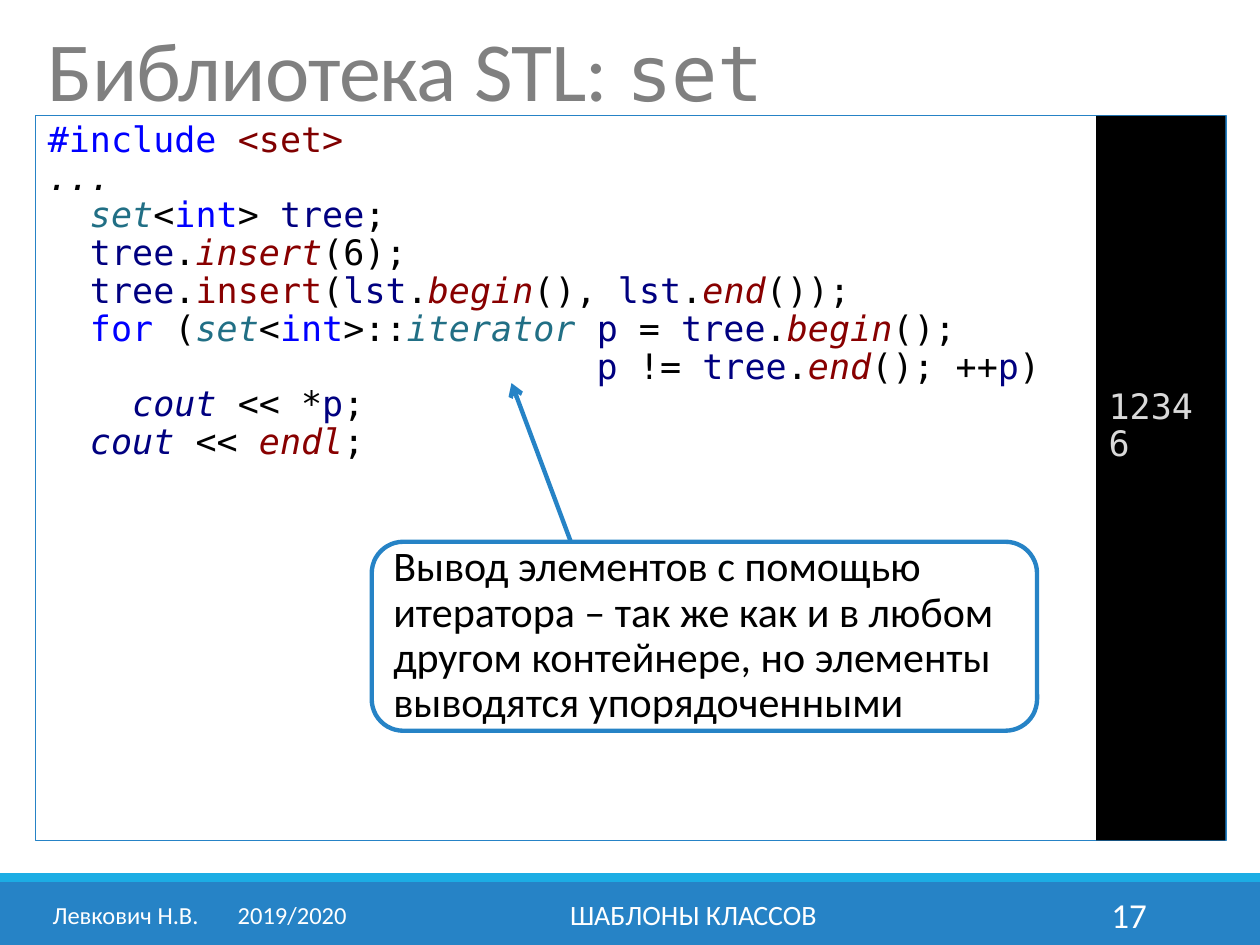
from lxml import etree
from pptx import Presentation
from pptx.dml.color import RGBColor
from pptx.enum.shapes import MSO_CONNECTOR, MSO_SHAPE
from pptx.enum.text import MSO_ANCHOR, PP_ALIGN
from pptx.oxml.ns import qn
from pptx.util import Pt

RECT, ROUND = MSO_SHAPE.RECTANGLE, MSO_SHAPE.ROUNDED_RECTANGLE
LINE = MSO_CONNECTOR.STRAIGHT
TOP, MID = MSO_ANCHOR.TOP, MSO_ANCHOR.MIDDLE
LEFT, MIDST, RIGHT = PP_ALIGN.LEFT, PP_ALIGN.CENTER, PP_ALIGN.RIGHT
SANS, MONO = "Calibri", "DejaVu Sans Mono"
BLUE, SKY, WHITE, BLACK, GREY = "2683C6", "1CADE4", "FFFFFF", "000000", "808080"

INKS = {
    "key": ("0000FF", False), "op": (BLACK, False), "head": ("800000", False),
    "dots": (BLACK, True), "type": ("216F85", True), "var": ("000080", False),
    "out": ("000080", True), "call": ("880000", True), "name": ("880000", False),
}
CODE = [
    [("key", "#include"), ("op", " "), ("head", "<set>")],
    [("dots", "...")],
    [("type", "  set"), ("op", "<"), ("key", "int"), ("op", "> "), ("var", "tree"), ("op", ";")],
    [("var", "  tree"), ("op", "."), ("call", "insert"), ("op", "(6);")],
    [("var", "  tree"), ("op", "."), ("name", "insert"), ("op", "("), ("var", "lst"),
     ("op", "."), ("call", "begin"), ("op", "(), "), ("var", "lst"), ("op", "."),
     ("call", "end"), ("op", "());")],
    [("key", "  for"), ("op", " ("), ("type", "set"), ("op", "<"), ("key", "int"),
     ("op", ">::"), ("type", "iterator "), ("var", "p"), ("op", " = "), ("var", "tree"),
     ("op", "."), ("call", "begin"), ("op", "();"), ("break", ""),
     ("op", "                          "), ("var", "p"), ("op", " != "), ("var", "tree"),
     ("op", "."), ("call", "end"), ("op", "(); ++"), ("var", "p"), ("op", ")")],
    [("out", "    cout"), ("op", " << *"), ("var", "p"), ("op", ";")],
    [("out", "  cout"), ("op", " << "), ("call", "endl"), ("op", ";")],
]


def rgb(hex):
    """Turn a hex string into a colour."""
    return RGBColor.from_string(hex)


class Page:
    """Hold the style and the current slide, and draw each kind of element."""

    def __init__(self, deck):
        self.slide = deck.slides.add_slide(deck.slide_layouts[6])
        self.shapes = self.slide.shapes

    def box(self, kind, area, fill=None, line=None, width=0.75):
        """Draw a preset shape."""
        shape = self.shapes.add_shape(kind, *map(Pt, area))
        shape.shadow.inherit = False
        if fill:
            shape.fill.solid()
            shape.fill.fore_color.rgb = rgb(fill)
        else:
            shape.fill.background()
        if line:
            shape.line.color.rgb = rgb(line)
            shape.line.width = Pt(width)
        else:
            shape.line.fill.background()
        return shape

    def style(self, para, face, size, ink, align=LEFT, space=1.0):
        """Set the look of a paragraph."""
        para.alignment = align
        para.line_spacing = space
        font = para.font
        font.name, font.size = face, Pt(size)
        font.color.rgb = rgb(ink)

    def fill(self, shape, text, face, size, ink, align=LEFT, space=0.9, anchor=TOP):
        """Write one paragraph into a shape."""
        frame = shape.text_frame
        frame.word_wrap = True
        frame.vertical_anchor = anchor
        para = frame.paragraphs[0]
        para.text = text
        self.style(para, face, size, ink, align, space)

    def label(self, area, text, size, align=LEFT, tab=None):
        """Write a footer label."""
        shape = self.shapes.add_textbox(*map(Pt, area))
        if tab:
            props = shape.text_frame.paragraphs[0]._p.get_or_add_pPr()
            stops = etree.SubElement(props, qn("a:tabLst"))
            etree.SubElement(stops, qn("a:tab"), pos=str(Pt(tab)), algn="l")
        self.fill(shape, text, SANS, size, WHITE, align, 1.0, MID)

    def title(self, area, parts):
        """Write the heading from parts of text, face and size."""
        frame = self.shapes.add_textbox(*map(Pt, area)).text_frame
        frame.word_wrap = True
        para = frame.paragraphs[0]
        self.style(para, SANS, 48, GREY, space=0.85)
        for text, face, size in parts:
            run = para.add_run()
            run.text = text
            run.font.name, run.font.size = face, Pt(size)
            run.font._element.set("spc", "-50")

    def code(self, shape, lines):
        """Write coloured code into a shape."""
        frame = shape.text_frame
        frame.word_wrap = True
        frame.vertical_anchor = TOP
        for i, line in enumerate(lines):
            para = frame.add_paragraph() if i else frame.paragraphs[0]
            self.style(para, MONO, 20, BLACK, space=0.9)
            for kind, text in line:
                if kind == "break":
                    para.add_line_break()
                    continue
                run = para.add_run()
                run.text = text
                ink, slant = INKS[kind]
                run.font.color.rgb = rgb(ink)
                run.font.italic = slant

    def arrow(self, ends, ink, width):
        """Draw a line with an arrowhead at its end."""
        line = self.shapes.add_connector(LINE, *map(Pt, ends))
        line.line.color.rgb = rgb(ink)
        line.line.width = Pt(width)
        etree.SubElement(line.line._get_or_add_ln(), qn("a:tailEnd"), type="arrow")
        etree.SubElement(line._element.spPr, qn("a:effectLst"))


def main():
    """Build the slide."""
    deck = Presentation()
    deck.slide_width, deck.slide_height = Pt(720), Pt(540)
    page = Page(deck)
    page.box(RECT, (0, 504, 720, 36), BLUE)
    page.box(RECT, (0, 499, 720, 5), SKY)
    page.label((584.6, 508.3, 77.8, 28.8), "17", 20, RIGHT)
    page.title((20.2, 15.1, 680.4, 56.9), [("Библиотека STL: ", SANS, 48), ("set", MONO, 44)])
    page.label((23, 508.3, 188, 28.8), "Левкович Н.В. \t2019/2020", 14, tab=105.8)
    page.label((217.4, 508.3, 357.8, 28.8), "ШАБЛОНЫ КЛАССОВ", 16, MIDST)
    page.code(page.box(RECT, (20.2, 66.2, 680.4, 414), line=BLUE), CODE)
    screen = page.box(RECT, (626.4, 66.2, 73.8, 414), BLACK)
    screen.text_frame.margin_top = Pt(156)
    page.fill(screen, "12346", MONO, 20, "D9D9D9")
    note = page.box(ROUND, (212.4, 309.6, 380.2, 108), WHITE, BLUE, 2.5)
    page.fill(note, "Вывод элементов с помощью итератора – так же как и в любом другом "
              "контейнере, но элементы выводятся упорядоченными", SANS, 24, BLACK, anchor=MID)
    page.arrow((326.2, 309.6, 292.3, 218.9), BLUE, 2.5)
    deck.save("out.pptx")


if __name__ == "__main__":
    main()
